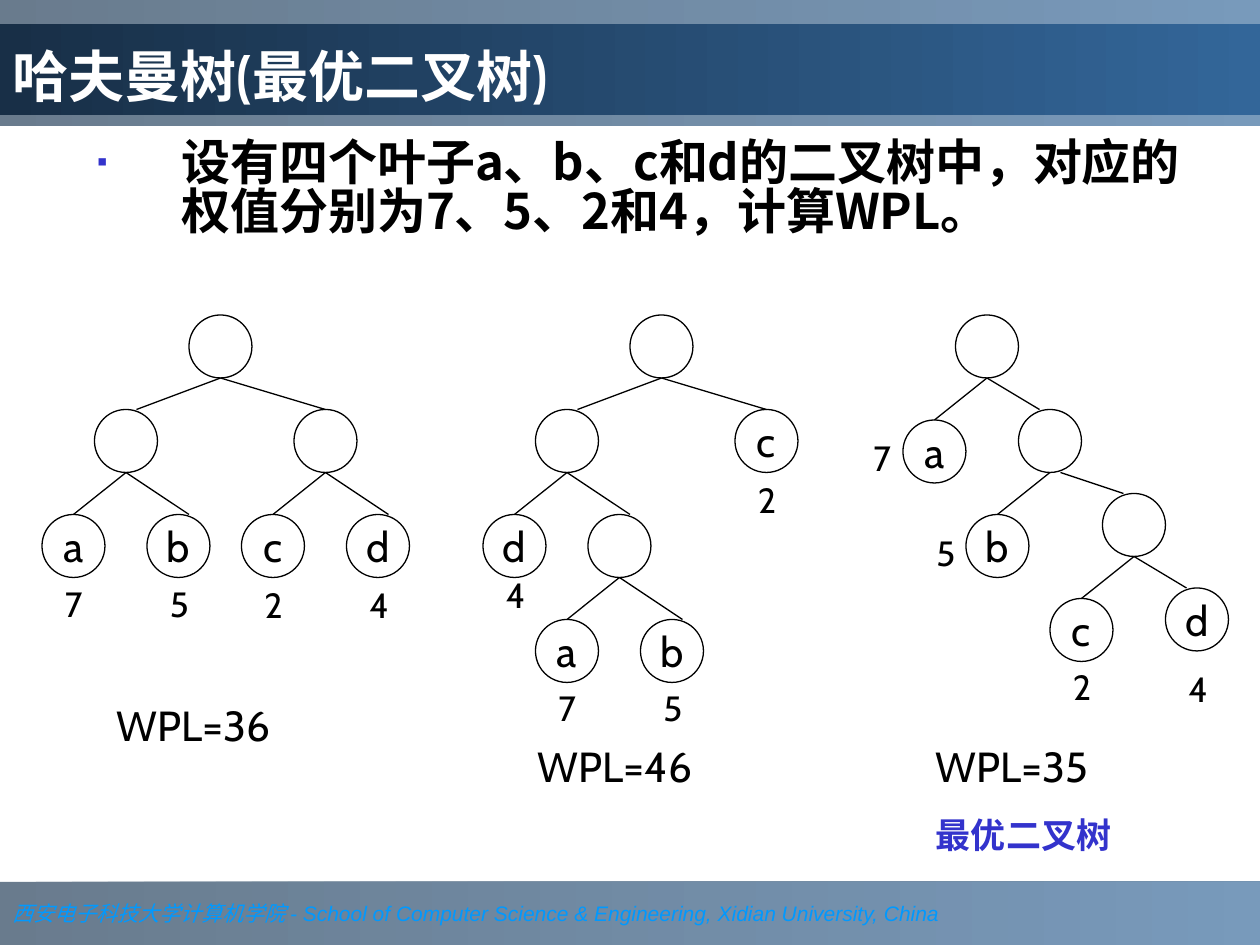
import dataclasses

import lxml.etree
import pptx
import pptx.dml.color
import pptx.enum.shapes
import pptx.enum.text
import pptx.oxml.ns
import pptx.util

Inches = pptx.util.Inches
Pt = pptx.util.Pt
ANCHOR = pptx.enum.text.MSO_ANCHOR
ALIGN = pptx.enum.text.PP_ALIGN
SHAPE = pptx.enum.shapes.MSO_SHAPE
qn = pptx.oxml.ns.qn


@dataclasses.dataclass(frozen=True)
class Theme:
    ink: str = "000000"
    white: str = "FFFFFF"
    accent: str = "3333CC"
    footer: str = "0099FF"
    band: tuple = ("1C3853", "336699")
    title_band: tuple = ("182F47", "336699")
    band_opacity: int = 66
    latin: str = "Cabin"
    cjk: str = "Noto Sans CJK SC"
    footer_fonts: tuple = ("Times New Roman", "Arial")
    title_size: int = 32
    body_size: int = 28
    label_size: int = 24
    weight_size: int = 20
    footer_size: int = 12
    line_width: float = 0.75


@dataclasses.dataclass
class Node:
    """A tree node; all lengths are in grid cells of a twelfth of an inch."""
    left: int
    top: int
    parent: int = None
    letter: str = ""
    weight: str = ""
    weight_offset: tuple = (1, 6)
    edge_start: int = 0
    edge_end: int = 0


CELL = 1 / 12
NODE = 6

TREES = [
    [Node(18, 30),
     Node(9, 39, 0, edge_end=1),
     Node(28, 39, 0),
     Node(4, 49, 1, "a", "7", (1, 5.9)),
     Node(14, 49, 1, "b", "5", (1, 5.9), edge_end=1),
     Node(23, 49, 2, "c", "2"),
     Node(33, 49, 2, "d", "4", edge_end=1)],
    [Node(60, 30),
     Node(51, 39, 0, edge_end=1),
     Node(70, 39, 0, "c", "2"),
     Node(46, 49, 1, "d", "4", (1, 5)),
     Node(56, 49, 1, edge_end=1),
     Node(51, 59, 4, "a", "7", (1, 5.75)),
     Node(61, 59, 4, "b", "5", (1, 5.75), edge_end=1)],
    [Node(91, 30),
     Node(86, 40, 0, "a", "7", (-4, 1)),
     Node(97, 39, 0, edge_end=-1),
     Node(92, 49, 2, "b", "5", (-4, 1)),
     Node(105, 47, 2, edge_start=1, edge_end=-1),
     Node(100, 57, 4, "c", "2", (1, 5.75)),
     Node(111, 56, 4, "d", "4", (1, 7), edge_end=-1)],
]


class SlideBuilder:
    def __init__(self, slide, theme):
        self.slide = slide
        self.theme = theme

    def apply(self, target, formats):
        for name, value in formats.items():
            setattr(target, name, value)

    def place(self, shape, left, top, width, height):
        box = dict(left=left, top=top, width=width, height=height)
        self.apply(shape, {side: Inches(value) for side, value in box.items()})

    def add_text(self, paragraph, text, size, color, latin=None, **formats):
        run = paragraph.add_run()
        run.text = text
        self.apply(run.font, dict(name=latin or self.theme.latin, size=Pt(size), **formats))
        run.font.color.rgb = pptx.dml.color.RGBColor.from_string(color)
        east_asian = lxml.etree.SubElement(run.font._element, qn("a:ea"))
        east_asian.set("typeface", self.theme.cjk)

    def gradient(self, shape, colors, opacity=None):
        shape.fill.gradient()
        shape.fill.gradient_angle = 0
        for stop, color in zip(shape.fill.gradient_stops, colors):
            stop.color.rgb = pptx.dml.color.RGBColor.from_string(color)
        if opacity is not None:
            for color in shape.element.spPr.iter(qn("a:srgbClr")):
                lxml.etree.SubElement(color, qn("a:alpha")).set("val", str(opacity * 1000))

    def band(self, top, height):
        """Add a translucent full-width band behind everything else."""
        band = self.slide.shapes.add_shape(
            SHAPE.RECTANGLE, 0, Inches(top), Inches(10), Inches(height))
        band.shadow.inherit = False
        band.line.fill.background()
        self.gradient(band, self.theme.band, self.theme.band_opacity)
        self.slide.shapes.element.insert(2, band.element)
        return band

    def title(self, text):
        title = self.slide.shapes.title
        self.place(title, 0, 0.19, 10, 0.72)
        self.gradient(title, self.theme.title_band)
        self.apply(title.text_frame, dict(
            vertical_anchor=ANCHOR.BOTTOM, auto_size=pptx.enum.text.MSO_AUTO_SIZE.NONE))
        paragraph = title.text_frame.paragraphs[0]
        paragraph.alignment = ALIGN.LEFT
        self.add_text(paragraph, text, self.theme.title_size, self.theme.white, bold=True)

    def body(self, text):
        body = self.slide.placeholders[1]
        self.place(body, 0.67, 1.08, 9.13, 1.25)
        body.text_frame.auto_size = pptx.enum.text.MSO_AUTO_SIZE.NONE
        paragraph = body.text_frame.paragraphs[0]
        self.apply(paragraph, dict(space_before=Pt(0), line_spacing=0.82))
        properties = paragraph._p.get_or_add_pPr()
        properties.set("marL", str(Inches(0.67)))
        properties.set("indent", str(-Inches(0.67)))
        bullet_color = lxml.etree.SubElement(properties, qn("a:buClr"))
        lxml.etree.SubElement(bullet_color, qn("a:srgbClr")).set("val", self.theme.accent)
        lxml.etree.SubElement(properties, qn("a:buSzPct")).set("val", "60000")
        lxml.etree.SubElement(properties, qn("a:buChar")).set("char", "▪")
        self.add_text(paragraph, text, self.theme.body_size, self.theme.ink,
                      self.theme.cjk, bold=True)

    def footer(self, school, translation):
        frame = self.band(7, 0.5).text_frame
        self.apply(frame, dict(word_wrap=True, vertical_anchor=ANCHOR.MIDDLE))
        frame.paragraphs[0].alignment = ALIGN.LEFT
        for text, latin in zip((school, translation), self.theme.footer_fonts):
            self.add_text(frame.paragraphs[0], text, self.theme.footer_size,
                          self.theme.footer, latin, italic=True)

    def label(self, shapes, text, left, top, width, height, size):
        box = shapes.add_textbox(*map(Inches, (left, top, width, height)))
        box.text_frame.word_wrap = True
        self.add_text(box.text_frame.paragraphs[0], text, size, self.theme.ink)
        return box.text_frame

    def outline(self, shape):
        shape.line.color.rgb = pptx.dml.color.RGBColor.from_string(self.theme.ink)
        shape.line.width = Pt(self.theme.line_width)

    def edge(self, shapes, parent, child):
        cells = (parent.left + NODE / 2 + child.edge_start, parent.top + NODE,
                 child.left + NODE / 2 + child.edge_end, child.top)
        line = shapes.add_connector(pptx.enum.shapes.MSO_CONNECTOR.STRAIGHT,
                                    *(Inches(cell * CELL) for cell in cells))
        self.outline(line)
        lxml.etree.SubElement(line.element.spPr, qn("a:effectLst"))

    def node(self, shapes, node):
        circle = shapes.add_shape(SHAPE.OVAL, *(
            Inches(cell * CELL) for cell in (node.left, node.top, NODE, NODE)))
        circle.shadow.inherit = False
        circle.fill.background()
        self.outline(circle)
        if not node.letter:
            return
        frame = circle.text_frame
        self.apply(frame, dict(margin_left=0, margin_top=0, margin_right=0, margin_bottom=0,
                               word_wrap=False, vertical_anchor=ANCHOR.MIDDLE))
        frame.paragraphs[0].alignment = ALIGN.CENTER
        self.add_text(frame.paragraphs[0], node.letter, self.theme.label_size, self.theme.ink)
        across, down = node.weight_offset
        self.label(shapes, node.weight, (node.left + across) * CELL,
                   (node.top + down) * CELL, 0.33, 0.44, self.theme.weight_size)

    def tree(self, nodes):
        shapes = self.slide.shapes.add_group_shape().shapes
        for node in nodes:
            if node.parent is not None:
                self.edge(shapes, nodes[node.parent], node)
            self.node(shapes, node)


def main():
    deck = pptx.Presentation()
    deck.slide_width, deck.slide_height = Inches(10), Inches(7.5)
    theme = Theme()
    builder = SlideBuilder(deck.slides.add_slide(deck.slide_layouts[1]), theme)
    builder.band(0, 1)
    builder.footer("西安电子科技大学计算机学院 ",
                   "- School of Computer Science & Engineering, Xidian University, China")
    builder.title("哈夫曼树(最优二叉树)")
    builder.body("设有四个叶子a、b、c和d的二叉树中，对应的权值分别为7、5、2和4，计算WPL。")
    for nodes in TREES:
        builder.tree(nodes)
    for total, left, top, width, height in (("WPL=36", 0.83, 5.5, 1.75, 0.5),
                                            ("WPL=46", 4.17, 5.83, 1.75, 0.5),
                                            ("WPL=35", 7.33, 5.83, 2.33, 1.01)):
        caption = builder.label(builder.slide.shapes, total, left, top, width, height,
                                theme.label_size)
    verdict = caption.add_paragraph()
    verdict.space_before = Pt(12.5)
    builder.add_text(verdict, "最优二叉树", theme.weight_size, theme.accent, bold=True)
    deck.save("out.pptx")


if __name__ == "__main__":
    main()
